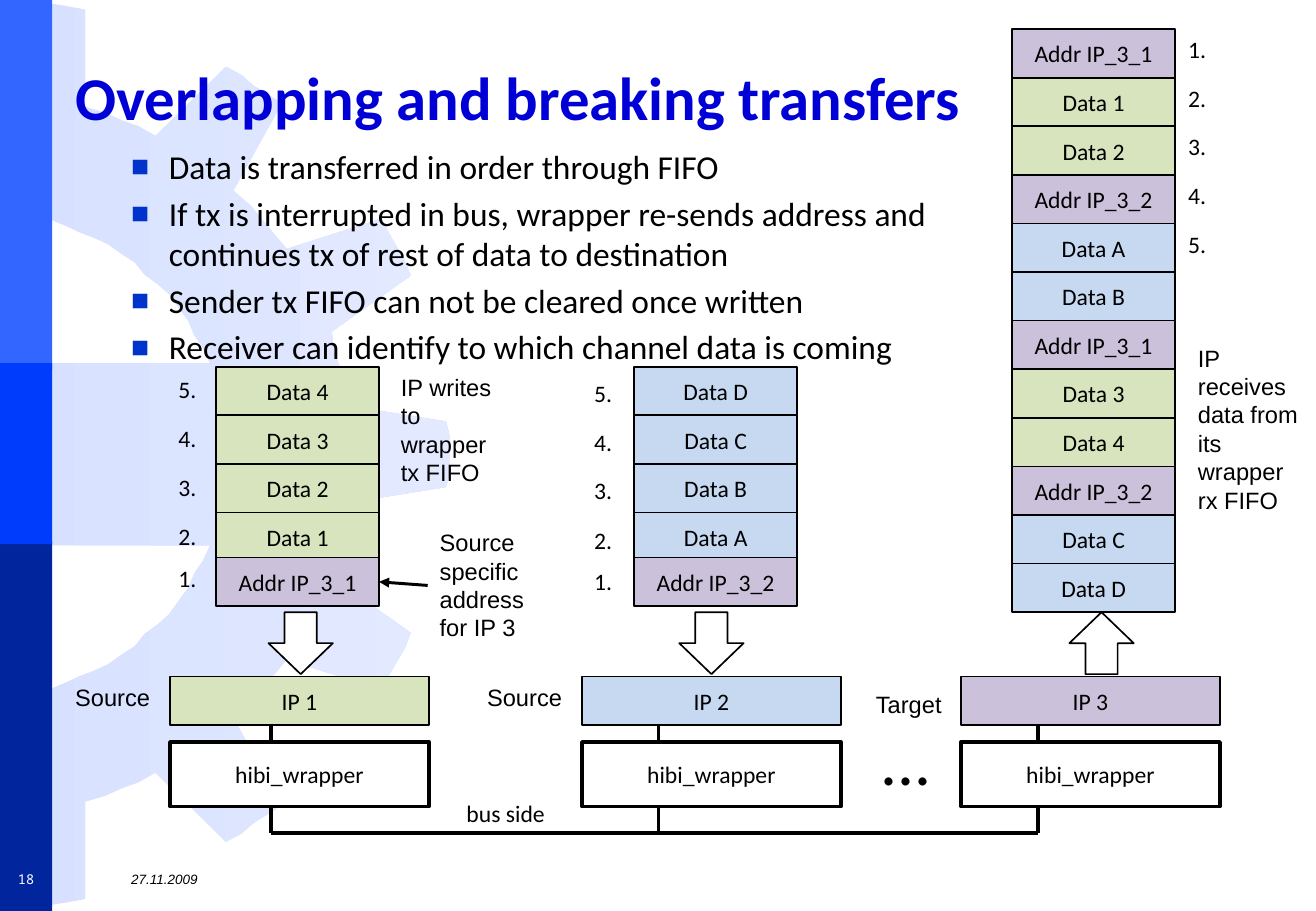
from dataclasses import dataclass

from lxml.etree import SubElement
from pptx import Presentation
from pptx.dml.color import RGBColor
from pptx.enum.shapes import MSO_CONNECTOR as CONN, MSO_SHAPE as SHAPE
from pptx.enum.text import MSO_ANCHOR as ANCHOR, MSO_AUTO_SIZE as AUTO, PP_ALIGN as ALIGN
from pptx.oxml.ns import qn
from pptx.util import Pt

PX = 9144
ROW = 40
MIRROR = 748

BULLETS = [
    "Data is transferred in order through FIFO",
    "If tx is interrupted in bus, wrapper re-sends address and "
    "continues tx of rest of data to destination",
    "Sender tx FIFO can not be cleared once written",
    "Receiver can identify to which channel data is coming",
]
RECEIVED = ["Addr IP_3_1", "Data 1", "Data 2", "Addr IP_3_2", "Data A", "Data B",
            "Addr IP_3_1", "Data 3", "Data 4", "Addr IP_3_2", "Data C", "Data D"]
GEAR_HALF = [
    (370, 373), (370, 359), (367, 347), (286, 334), (283, 320), (281, 305),
    (275, 291), (273, 273), (338, 227), (333, 214), (327, 204), (320, 192),
    (314, 180), (236, 205), (225, 192), (215, 180), (206, 169), (192, 157),
    (232, 85), (219, 77), (208, 70), (199, 62), (186, 55), (128, 112),
    (114, 104), (100, 99), (87, 93), (70, 88), (70, 8), (55, 5), (42, 3),
    (29, 1), (14, 0), (14, 176), (28, 180), (42, 181), (54, 186), (65, 191),
    (78, 196), (89, 201), (100, 209), (111, 216), (119, 226), (130, 234),
    (139, 242), (147, 253), (155, 264), (160, 276), (167, 286), (173, 299),
    (0, 299),
]


@dataclass(frozen=True)
class Theme:
    """Colours, fonts and type sizes of the slide."""
    black: str = "000000"
    white: str = "FFFFFF"
    title: str = "0000D6"
    bullet: str = "0033CC"
    green: str = "D7E4BD"
    blue: str = "C6D9F1"
    purple: str = "CCC1DA"
    bar_top: str = "3366FF"
    bar_middle: str = "003CFC"
    bar_bottom: str = "00259C"
    gear_left: str = "D7E1FF"
    gear_right: str = "E3EAFF"
    sans: str = "Calibri"
    note: str = "Arial"
    mono: str = "Noto Sans Mono"
    title_size: float = 36
    body_size: float = 19.8
    dots_size: float = 40
    label_size: float = 14
    small_size: float = 8


T = Theme()


def rgb(color):
    """Turn a hex string into a colour."""
    return RGBColor.from_string(color)


def place(sp, x, y, w, h):
    """Move and size a shape in px."""
    sp.left, sp.top, sp.width, sp.height = (v * PX for v in (x, y, w, h))


def style(p, size=T.label_size, font=T.sans, color=T.black, bold=False, italic=False):
    """Format every run of a paragraph."""
    for r in p.runs:
        r.font.size, r.font.name = Pt(size), font
        r.font.bold, r.font.italic = bold, italic
        r.font.color.rgb = rgb(color)


def add_shape(s, kind, x, y, w, h, fill, line=1):
    """Add a filled preset shape, outlined when line is not zero."""
    sp = s.shapes.add_shape(kind, *(v * PX for v in (x, y, w, h)))
    sp.shadow.inherit = False
    sp.fill.solid()
    sp.fill.fore_color.rgb = rgb(fill)
    if line:
        sp.line.color.rgb = rgb(T.black)
        sp.line.width = Pt(line)
    else:
        sp.line.fill.background()
    return sp


def add_box(s, x, y, w, h, text, fill, line=1):
    """Add a rectangle with a centred label."""
    sp = add_shape(s, SHAPE.RECTANGLE, x, y, w, h, fill, line)
    tf = sp.text_frame
    tf.text = text
    tf.vertical_anchor = ANCHOR.MIDDLE
    p = tf.paragraphs[0]
    p.alignment = ALIGN.CENTER
    style(p)
    return sp


def add_word(s, text):
    """Give the fill colour that belongs to a FIFO word."""
    if text.startswith("Addr"):
        return T.purple
    return T.green if text[-1].isdigit() else T.blue


def add_stack(s, x, y, words):
    """Stack FIFO words downwards and return the last box."""
    for i, word in enumerate(words):
        sp = add_box(s, x, y + i * ROW, 134, ROW, word, add_word(s, word))
    return sp


def add_text(s, x, y, w, h, text, wrap=False, anchor=ANCHOR.TOP, align=ALIGN.LEFT, **font):
    """Add a text box with one formatted paragraph."""
    tf = s.shapes.add_textbox(*(v * PX for v in (x, y, w, h))).text_frame
    tf.text = text
    tf.word_wrap = wrap
    tf.vertical_anchor = anchor
    tf.paragraphs[0].alignment = align
    style(tf.paragraphs[0], **font)


def add_numbers(s, x, tops):
    """Number words 1, 2, 3 and so on at the given heights."""
    for i, y in enumerate(tops, 1):
        add_text(s, x, y, 35, 34, f"{i}.")


def add_line(s, x1, y1, x2, y2, width=2.25, arrow=False):
    """Add a straight line, with an arrowhead at its end if wanted."""
    c = s.shapes.add_connector(CONN.STRAIGHT, *(v * PX for v in (x1, y1, x2, y2)))
    c.line.color.rgb = rgb(T.black)
    c.line.width = Pt(width)
    spPr = c._element.spPr
    if arrow:
        SubElement(spPr.get_or_add_ln(), qn("a:tailEnd"), type="triangle")
    SubElement(spPr, qn("a:effectLst"))
    return c


def add_background(s):
    """Draw the gear and the bars at the left edge."""
    lower = [(x, MIRROR - y) for x, y in reversed(GEAR_HALF)]
    builder = s.shapes.build_freeform(*GEAR_HALF[0], scale=PX)
    builder.add_line_segments(GEAR_HALF[1:] + lower, close=True)
    gear = builder.convert_to_shape()
    gear.shadow.inherit = False
    gear.line.fill.background()
    gear.fill.gradient()
    gear.fill.gradient_angle = 0
    for stop, color in zip(gear.fill.gradient_stops, (T.gear_left, T.gear_right)):
        stop.color.rgb = rgb(color)
    for y, h, color in ((0, 305, T.bar_top), (446, 304, T.bar_bottom), (299, 149, T.bar_middle)):
        add_shape(s, SHAPE.RECTANGLE, 0, y, 43, h, color, 0)


def add_bullet(p):
    """Give a paragraph a square bullet and a hanging indent."""
    pPr = p._p.get_or_add_pPr()
    pPr.set("marL", str(31 * PX))
    pPr.set("indent", str(-31 * PX))
    SubElement(SubElement(pPr, qn("a:buClr")), qn("a:srgbClr"), val=T.bullet)
    SubElement(pPr, qn("a:buSzPct"), val="90000")
    SubElement(pPr, qn("a:buFont"), typeface=T.note)
    SubElement(pPr, qn("a:buChar"), char="■")


def fill_placeholders(s):
    """Write the title and the bullet list in front of the background."""
    title, body = s.shapes.title, s.placeholders[1]
    for sp in (title, body):
        s.shapes._spTree.append(sp._element)
        sp.text_frame.auto_size = AUTO.NONE
    place(title, 52, 21, 769, 94)
    title.text_frame.text = "Overlapping and breaking transfers"
    title.text_frame.vertical_anchor = ANCHOR.BOTTOM
    p = title.text_frame.paragraphs[0]
    p.alignment, p.line_spacing = ALIGN.LEFT, 0.9
    style(p, T.title_size, color=T.title, bold=True)
    place(body, 98, 115, 724, 176)
    body.text_frame.text = "\n".join(BULLETS)
    for i, p in enumerate(body.text_frame.paragraphs):
        add_bullet(p)
        p.space_before = Pt(4 if i else 0)
        style(p, T.body_size)


def add_network(s):
    """Draw the bus, the wrappers and the IP blocks."""
    add_line(s, 223, 686, 854, 686)
    for i, (x, wire, fill) in enumerate(
            ((140, 223, T.green), (479, 542, T.blue), (791, 854, T.purple)), 1):
        add_line(s, wire, 597, wire, 686)
        add_box(s, x, 611, 213, 53, "hibi_wrapper", T.white, 2.25)
        add_box(s, x, 557, 213, ROW, f"IP {i}", fill)
    for x, turn in ((221, 0), (559, 0), (880, 180)):
        add_shape(s, SHAPE.DOWN_ARROW, x, 504, 53, 51, T.white).rotation = turn
    add_text(s, 374, 653, 85, 34, "bus side")
    add_text(s, 715, 586, 62, 78, "...", size=T.dots_size)
    for x, y, w, text in ((52, 557, 88, "Source"), (391, 557, 88, "Source"), (711, 563, 80, "Target")):
        add_text(s, x, y, w, 34, text, font=T.note)


def add_fifos(s):
    """Draw the two sending FIFOs and the receiving one with their notes."""
    add_stack(s, 178, 302, [f"Data {n}" for n in "4321"])
    address = add_stack(s, 178, 459, ["Addr IP_3_1"])
    add_stack(s, 522, 302, [f"Data {n}" for n in "DCBA"])
    add_stack(s, 522, 459, ["Addr IP_3_2"])
    add_stack(s, 833, 24, RECEIVED)
    tops = (459, 425, 384, 344, 304)
    add_numbers(s, 137, tops)
    add_numbers(s, 479, [y + 3 for y in tops])
    add_numbers(s, 968, [24 + i * ROW for i in range(5)])
    for x, y, h, text in ((320, 302, 104, "IP writes to wrapper tx FIFO"),
                          (976, 278, 151, "IP receives data from its wrapper rx FIFO"),
                          (352, 430, 104, "Source specific address for IP 3")):
        add_text(s, x, y, 108, h, text, wrap=True, font=T.note)
    add_line(s, 352, 482, 312, 479, 1.75, arrow=True).end_connect(address, 3)


def main():
    """Build the slide and save it."""
    prs = Presentation()
    prs.slide_width, prs.slide_height = 1083 * PX, 750 * PX
    s = prs.slides.add_slide(prs.slide_layouts[1])
    add_background(s)
    fill_placeholders(s)
    add_network(s)
    add_fifos(s)
    add_text(s, 98, 711, 939, 26, "27.11.2009", wrap=True, anchor=ANCHOR.MIDDLE,
             size=T.small_size, font=T.note, italic=True)
    add_text(s, 0, 711, 43, 26, "18", anchor=ANCHOR.MIDDLE, align=ALIGN.CENTER,
             size=T.small_size, font=T.mono, color=T.white)
    prs.save("out.pptx")


if __name__ == "__main__":
    main()
